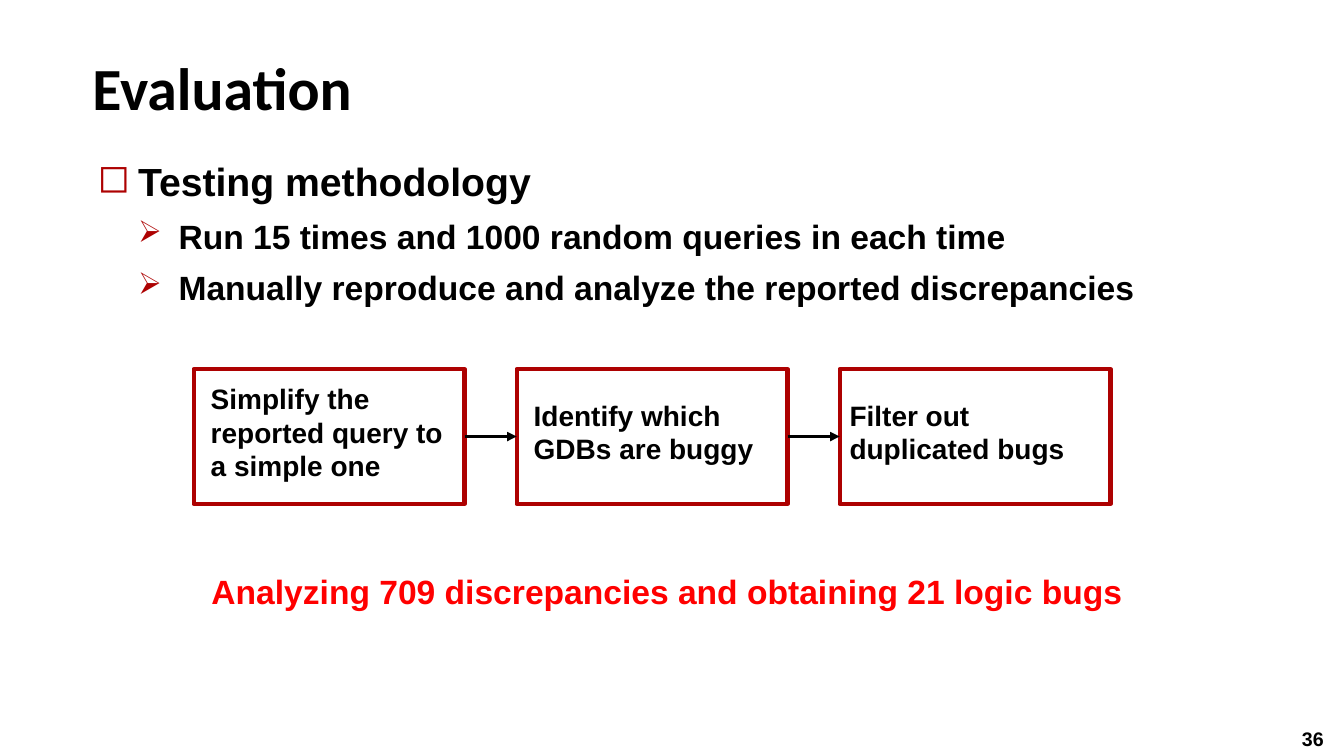
"""Build the evaluation slide with its three-step analysis flow."""
from lxml import etree
from pptx import Presentation
from pptx import util as u
from pptx.dml.color import RGBColor
from pptx.enum import shapes, text
from pptx.oxml.ns import qn

COLORS = {"ink": "000000", "paper": "FFFFFF", "accent": "AD0101", "alert": "FF0000"}


class SlideBuilder:
    """Holds the style and the current slide."""

    def __init__(self, slide, font="Arial"):
        """Keep the slide and its main font."""
        self.slide = slide
        self.font = font

    def color(self, name):
        """Return a named colour."""
        return RGBColor.from_string(COLORS[name])

    def style(self, paragraph, size, color="ink", font=None):
        """Set the bold font of a paragraph."""
        paragraph.font.name = font or self.font
        paragraph.font.size = u.Pt(size)
        paragraph.font.bold = True
        paragraph.font.color.rgb = self.color(color)

    def indent(self, paragraph, left, hanging=0):
        """Set the left margin and hanging indent in centimetres."""
        properties = paragraph._p.get_or_add_pPr()
        properties.set("marL", str(u.Cm(left)))
        properties.set("indent", str(-u.Cm(hanging)))
        return properties

    def text_box(self, box, content, size, color="ink", font=None, wrap=True):
        """Add a one-paragraph text box and return its frame."""
        frame = self.slide.shapes.add_textbox(*map(u.Cm, box)).text_frame
        frame.word_wrap = wrap
        frame.text = content
        self.style(frame.paragraphs[0], size, color, font)
        return frame

    def title(self, box, content):
        """Add the slide title."""
        frame = self.text_box(box, content, 42.7, font="Calibri")
        frame.vertical_anchor = text.MSO_ANCHOR.BOTTOM
        frame.paragraphs[0].line_spacing = u.Pt(46.7)

    def bullets(self, box, items):
        """Add a two-level bullet list."""
        frame = self.slide.shapes.add_textbox(*map(u.Cm, box)).text_frame
        frame.word_wrap = True
        for number, (level, content) in enumerate(items):
            paragraph = frame.add_paragraph() if number else frame.paragraphs[0]
            paragraph.text = content
            paragraph.level = level
            if number:
                paragraph.space_before = u.Pt(8)
            properties = self.indent(paragraph, 1.02 * (level + 1), 1.02)
            tint = etree.SubElement(properties, qn("a:buClr"))
            etree.SubElement(tint, qn("a:srgbClr"), val=COLORS["accent"])
            if level:
                etree.SubElement(properties, qn("a:buSzPct"), val="90000")
            etree.SubElement(properties, qn("a:buChar"), char="◻➢"[level])
            self.style(paragraph, 24 if level else 28)

    def step(self, box, content, left_margin):
        """Add one outlined step of the flow."""
        step = self.slide.shapes.add_shape(shapes.MSO_SHAPE.RECTANGLE, *map(u.Cm, box))
        step.shadow.inherit = False
        step.fill.solid()
        step.fill.fore_color.rgb = self.color("paper")
        step.line.color.rgb = self.color("accent")
        step.line.width = u.Pt(3)
        frame = step.text_frame
        frame.word_wrap = True
        frame.vertical_anchor = text.MSO_ANCHOR.MIDDLE
        frame.margin_left = u.Cm(left_margin)
        frame.margin_right = u.Cm(0.4)
        frame.margin_bottom = u.Cm(0.36)
        frame.text = content
        frame.paragraphs[0].alignment = text.PP_ALIGN.LEFT
        self.style(frame.paragraphs[0], 20)
        return step

    def arrow(self, start, end):
        """Join two steps from right side to left side."""
        arrow = self.slide.shapes.add_connector(shapes.MSO_CONNECTOR.STRAIGHT, 0, 0, 0, 0)
        arrow.begin_connect(start, 3)
        arrow.end_connect(end, 1)
        arrow.line.color.rgb = self.color("ink")
        arrow.line.width = u.Pt(2.25)
        etree.SubElement(arrow.line._get_or_add_ln(), qn("a:tailEnd"), type="triangle")
        etree.SubElement(arrow._element.spPr, qn("a:effectLst"))


def main():
    """Create and save the slide."""
    deck = Presentation()
    deck.slide_width, deck.slide_height = u.Cm(33.87), u.Cm(19.05)
    builder = SlideBuilder(deck.slides.add_slide(deck.slide_layouts[6]))

    builder.text_box((32.56, 18.19, 1.22, 0.86), "36", 14, wrap=False)
    builder.title((2.08, 0.86, 32.16, 2.36), "Evaluation")
    builder.bullets((2.21, 3.84, 29.59, 4.06), [
        (0, "Testing methodology"),
        (1, "Run 15 times and 1000 random queries in each time"),
        (1, "Manually reproduce and analyze the reported discrepancies"),
    ])

    flow = [
        ("Simplify the reported query to a simple one", 0.43),
        ("Identify which GDBs are buggy", 0.43),
        ("Filter out duplicated bugs", 0.25),
    ]
    steps = [builder.step((4.88 + 8.14 * column, 9.3, 6.83, 3.4), content, margin)
             for column, (content, margin) in enumerate(flow)]
    for start, end in zip(steps, steps[1:]):
        builder.arrow(start, end)

    result = builder.text_box(
        (2.54, 14.25, 27.1, 1.27),
        "Analyzing 709 discrepancies and obtaining 21 logic bugs", 24, "alert")
    builder.indent(result.paragraphs[0], 2.54)
    deck.save("out.pptx")


if __name__ == "__main__":
    main()
